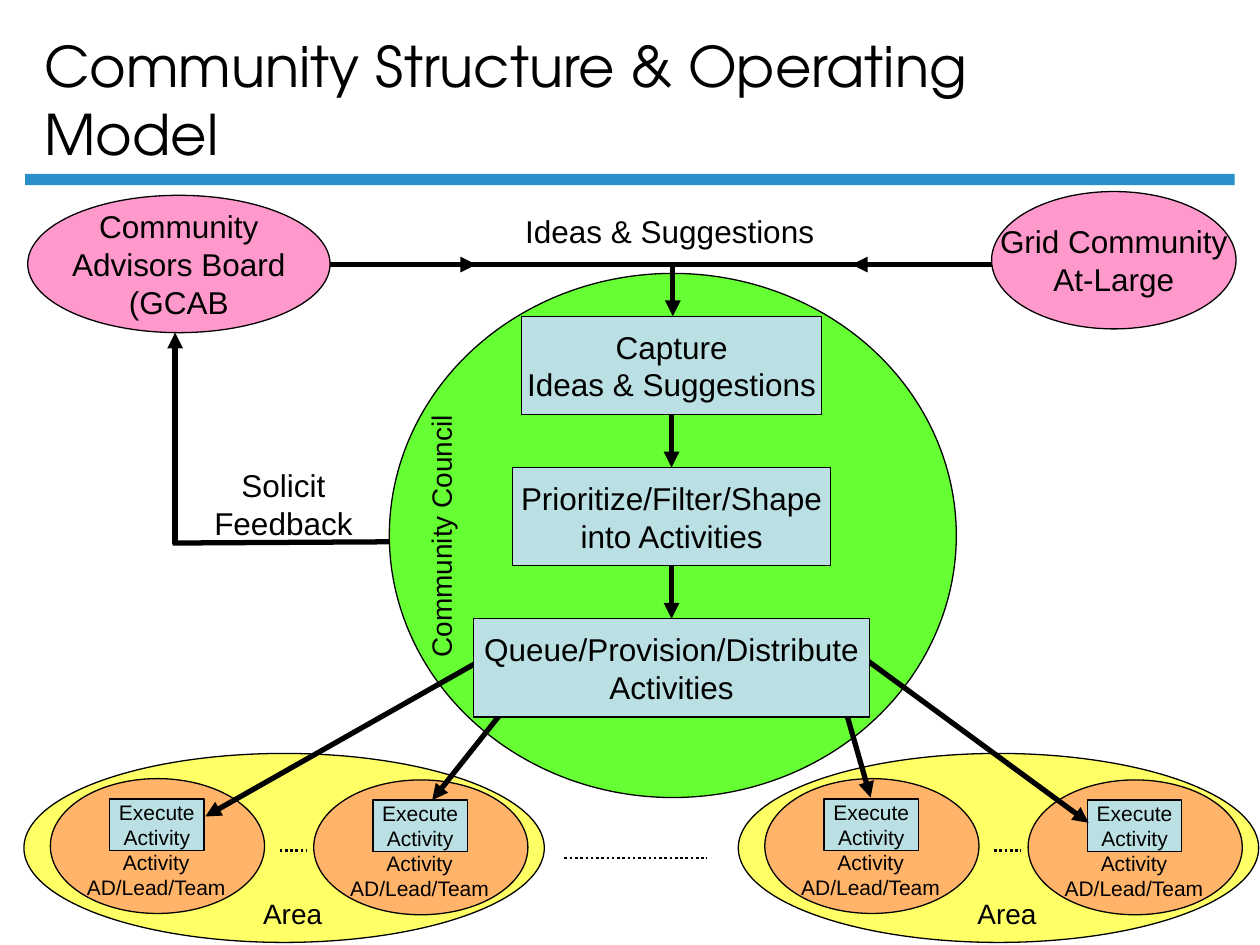
from dataclasses import dataclass

from lxml.etree import SubElement
from pptx import Presentation
from pptx.dml.color import RGBColor
from pptx.enum.dml import MSO_LINE
from pptx.enum.shapes import MSO_CONNECTOR, MSO_SHAPE
from pptx.enum.text import MSO_ANCHOR, MSO_AUTO_SIZE as Fit, PP_ALIGN as Align
from pptx.oxml.ns import qn
from pptx.util import Inches, Pt


@dataclass(frozen=True)
class Theme:
    ink: str = "000000"
    rule: str = "2990CA"
    council: str = "66FF33"
    group: str = "FF99CC"
    area: str = "FFFF66"
    team: str = "FFB469"
    step: str = "BBE0E3"
    head: int = 32
    body: int = 18
    label: int = 16
    small: int = 12
    thin: float = 0.75
    dots: float = 1.5
    bold: float = 3
    face: str = "Arial"
    title: str = "TeX Gyre Adventor"


T = Theme()
OVAL, RECT = MSO_SHAPE.OVAL, MSO_SHAPE.RECTANGLE


def rgb(code):
    return RGBColor.from_string(code)


def write(frame, text, size, align=Align.CENTER, face=T.face, **form):
    """Fill a text frame, one paragraph to a line of text."""
    form = {"word_wrap": False, "vertical_anchor": MSO_ANCHOR.MIDDLE} | form
    for name, value in form.items():
        setattr(frame, name, value)
    frame.text = text
    for para in frame.paragraphs:
        para.alignment = align
        for name, value in {"name": face, "size": Pt(size)}.items():
            setattr(para.font, name, value)
        para.font.color.rgb = rgb(T.ink)


def add_form(slide, kind, box, fill, text="", size=T.body, edge=True):
    form = slide.shapes.add_shape(kind, *map(Inches, box))
    form.shadow.inherit = False
    form.fill.solid()
    form.fill.fore_color.rgb = rgb(fill)
    if edge:
        form.line.color.rgb = rgb(T.ink)
        form.line.width = Pt(T.thin)
    else:
        form.line.fill.background()
    if text:
        write(form.text_frame, text, size)


def add_label(slide, box, text, size, align=Align.LEFT, turn=0):
    label = slide.shapes.add_textbox(*map(Inches, box))
    label.rotation = turn
    write(label.text_frame, text, size, align,
          vertical_anchor=MSO_ANCHOR.TOP, auto_size=Fit.SHAPE_TO_FIT_TEXT)


def add_line(slide, ends, width=T.bold, arrow=False, dash=None):
    line = slide.shapes.add_connector(MSO_CONNECTOR.STRAIGHT, *map(Inches, ends))
    line.line.color.rgb = rgb(T.ink)
    line.line.width = Pt(width)
    if dash:
        line.line.dash_style = dash
    if arrow:
        SubElement(line.line._get_or_add_ln(), qn("a:tailEnd"), type="triangle")
    SubElement(line._element.spPr, qn("a:effectLst"))


def add_dots(slide, left, right, y):
    add_line(slide, (left, y, right, y), T.dots, dash=MSO_LINE.ROUND_DOT)


def add_title(slide, text):
    title = slide.shapes.title
    box = {"left": 0.25, "top": 0.12, "width": 8.56, "height": 1.25}
    for name, value in box.items():
        setattr(title, name, Inches(value))
    write(title.text_frame, text, T.head, Align.LEFT, T.title, word_wrap=True,
          vertical_anchor=MSO_ANCHOR.BOTTOM, auto_size=Fit.NONE)


def add_team(slide, x, y):
    add_form(slide, OVAL, (x, y, 1.7, 1.07), T.team)
    add_label(slide, (x + 0.18, y + 0.51, 1.32, 0.5),
              "Activity\nAD/Lead/Team", T.small, Align.CENTER)
    add_form(slide, RECT, (x + 0.47, y + 0.16, 0.75, 0.41), T.step,
             "Execute\nActivity", T.small)


def add_area(slide, x):
    add_form(slide, OVAL, (x, 5.98, 4.13, 1.5), T.area)
    add_label(slide, (x + 1.8, 7.07, 0.67, 0.37), "Area", T.label)
    add_dots(slide, x + 2.03, x + 2.24, 6.75)
    add_team(slide, x + 0.21, 6.18)
    add_team(slide, x + 2.3, 6.19)


def add_council(slide):
    add_form(slide, OVAL, (3.09, 2.17, 4.5, 4.16), T.council)
    add_label(slide, (2.44, 4.07, 2.12, 0.37), "Community Council", T.label, turn=270)


def add_steps(slide):
    steps = [("Capture\nIdeas & Suggestions", 2.38),
             ("Prioritize/Filter/Shape\ninto Activities", 2.52),
             ("Queue/Provision/Distribute\nActivities", 3.14)]
    mid, top, high, pitch = 5.33, 2.51, 0.78, 1.2
    for i, (text, wide) in enumerate(steps):
        y = top + i * pitch
        add_form(slide, RECT, (mid - wide / 2, y, wide, high), T.step, text)
        if i:
            add_line(slide, (mid, y - pitch + high, mid, y), arrow=True)


def add_groups(slide):
    add_form(slide, OVAL, (0.22, 1.55, 2.4, 1.09), T.group,
             "Community\nAdvisors Board\n(GCAB")
    add_form(slide, OVAL, (7.87, 1.52, 1.94, 1.09), T.group,
             "Grid Community\nAt-Large")


def add_flows(slide):
    add_label(slide, (4.07, 1.63, 2.49, 0.4), "Ideas & Suggestions", T.body)
    add_label(slide, (1.6, 3.65, 1.3, 0.7), "Solicit\nFeedback", T.body, Align.CENTER)
    for ends in [(2.62, 2.1, 7.87, 2.1), (3.09, 4.3, 1.37, 4.31)]:
        add_line(slide, ends)
    for ends in [(3.59, 2.1, 3.78, 2.1), (6.95, 2.1, 6.76, 2.1),
                 (5.34, 2.1, 5.34, 2.51), (1.39, 4.32, 1.39, 2.64),
                 (3.8, 5.25, 1.63, 6.48), (4.05, 5.57, 3.43, 6.35),
                 (6.7, 5.6, 6.91, 6.33), (6.88, 5.24, 8.64, 6.53)]:
        add_line(slide, ends, arrow=True)


def main():
    deck = Presentation()
    deck.slide_width, deck.slide_height = Inches(10), Inches(7.5)
    slide = deck.slides.add_slide(deck.slide_layouts[5])
    add_title(slide, "Community Structure & Operating Model")
    add_form(slide, RECT, (0.2, 1.38, 9.6, 0.09), T.rule, edge=False)
    add_council(slide)
    add_groups(slide)
    add_dots(slide, 4.48, 5.61, 6.81)
    for x in (0.19, 5.86):
        add_area(slide, x)
    add_flows(slide)
    add_steps(slide)
    deck.save("out.pptx")


if __name__ == "__main__":
    main()
